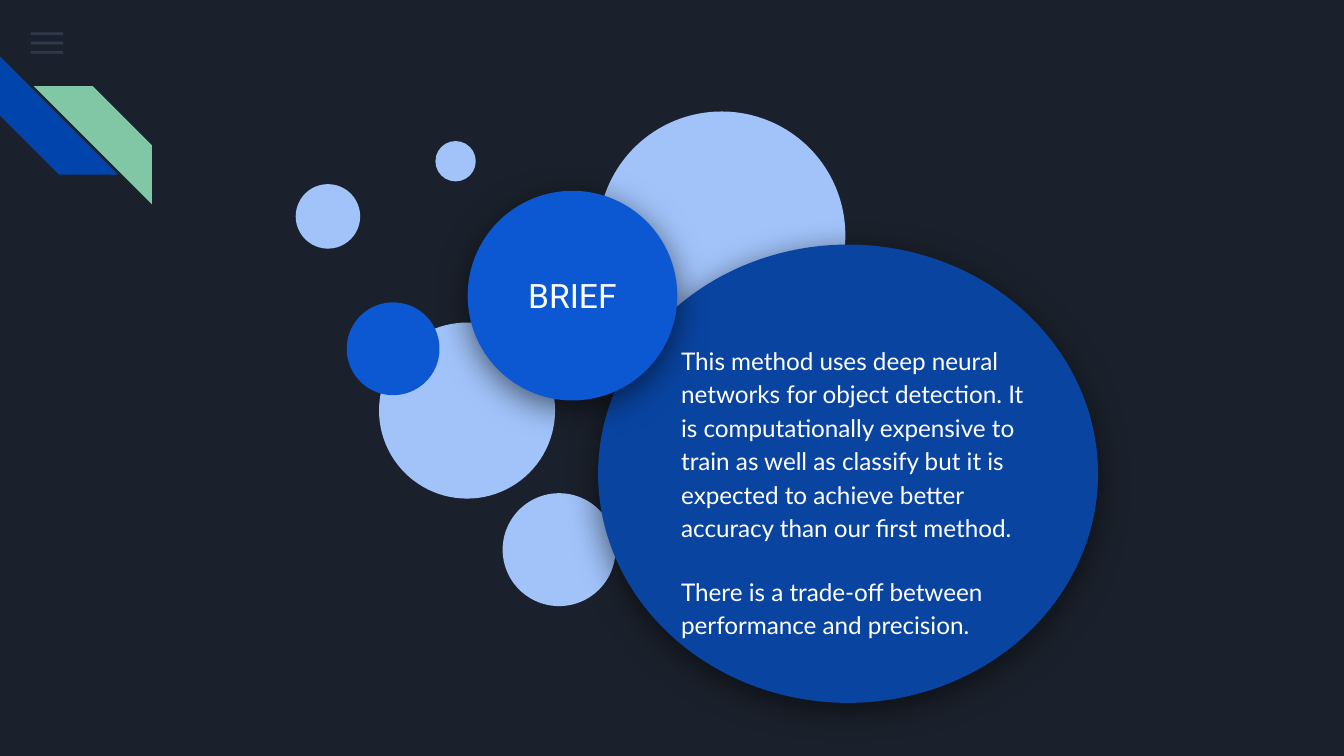
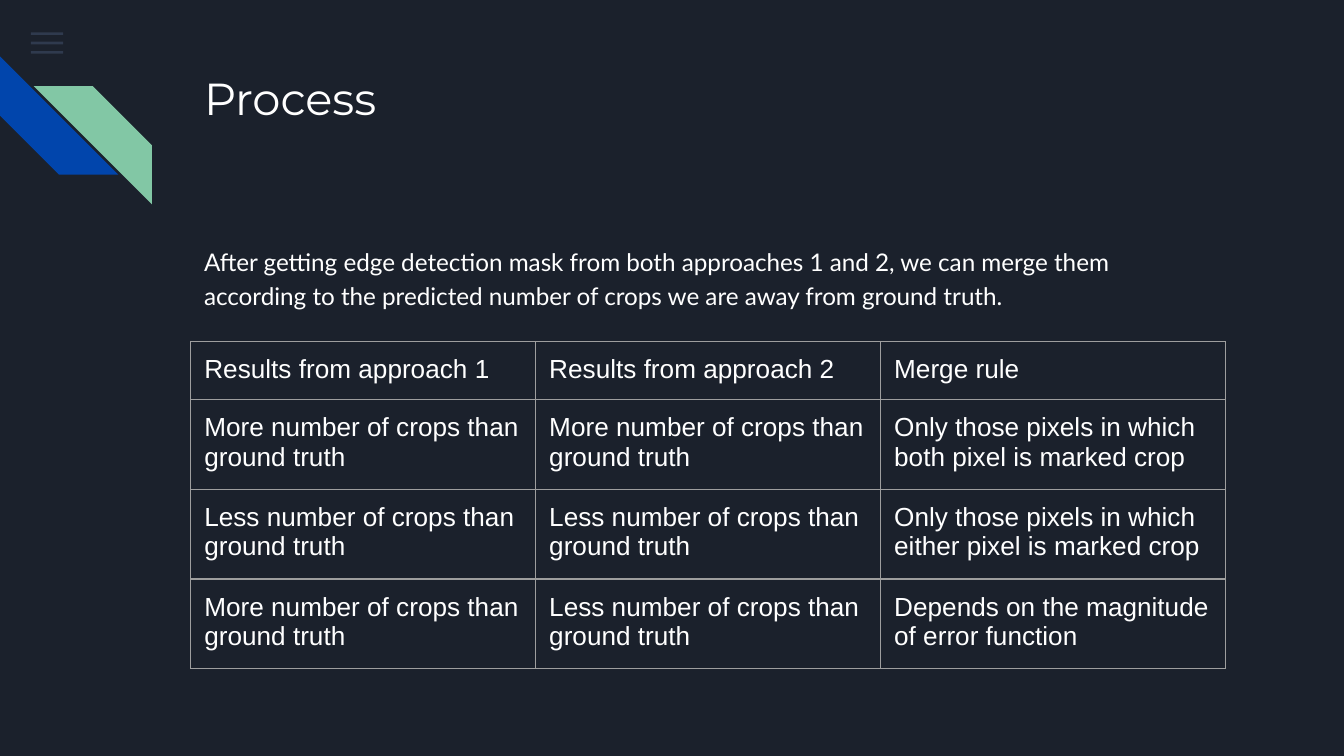
"""Builds two dark slides: a circle cluster with a brief, and a merge-rule table."""
from dataclasses import dataclass
from lxml.etree import SubElement
from pptx import Presentation
from pptx.dml.color import RGBColor
from pptx.enum.shapes import MSO_SHAPE
from pptx.enum.text import MSO_ANCHOR, PP_ALIGN
from pptx.oxml.ns import qn
from pptx.util import Inches, Pt


@dataclass(frozen=True)
class Theme:
    back: str = "1B212C"
    menu: str = "55688B"
    navy: str = "0145AC"
    mint: str = "82C7A5"
    pale: str = "A1C3FA"
    blue: str = "0C58D3"
    deep: str = "0944A1"
    white: str = "FFFFFF"
    rule: str = "9E9E9E"
    head: tuple = ("Montserrat", 24)
    body: tuple = ("Lato", 13)
    label: tuple = ("Roboto", 18)
    cell: tuple = ("Arial", 14)


T = Theme()
WIDE, HIGH = 10, 10 * 9 / 16
LEFT, SPAN = 1.42, 7.7
PAD = 0.1
BARS = dict(left=0.23, top=0.24, step=0.07, wide=0.24, high=0.02)
STRIPES = [(0, 0.42, 270, T.navy), (0.25, 0.64, 90, T.mint)]
STRIPE = 0.88

DOTS = [
    (3.74, 3.67, 0.84, T.pale),
    (2.2, 1.37, 0.48, T.pale),
    (2.82, 2.4, 1.31, T.pale),
    (4.45, 0.83, 1.84, T.pale),
    (2.58, 2.25, 0.69, T.blue),
    (3.24, 1.05, 0.3, T.pale),
]
BRIEF = [
    "This method uses deep neural networks for object detection. It is "
    "computationally expensive to train as well as classify but it is "
    "expected to achieve better accuracy than our first method.",
    "There is a trade-off between performance and precision.",
]
INTRO = ("After getting edge detection mask from both approaches 1 and 2, we can "
         "merge them according to the predicted number of crops we are away from "
         "ground truth.")
MORE = "More number of crops than ground truth"
LESS = "Less number of crops than ground truth"
RULES = [
    ("Results from approach 1", "Results from approach 2", "Merge rule"),
    (MORE, MORE, "Only those pixels in which both pixel is marked crop"),
    (LESS, LESS, "Only those pixels in which either pixel is marked crop"),
    (MORE, LESS, "Depends on the magnitude of error function"),
]


def rgb(color):
    return RGBColor.from_string(color)


def tint(parent, color, alpha=None):
    node = SubElement(parent, qn("a:srgbClr"), val=color)
    if alpha:
        SubElement(node, qn("a:alpha"), val=str(alpha * 1000))


def draw(slide, kind, box, color):
    shape = slide.shapes.add_shape(kind, *map(Inches, box))
    shape.shadow.inherit = False
    shape.fill.solid()
    shape.fill.fore_color.rgb = rgb(color)
    shape.line.fill.background()
    return shape


def glow(shape):
    effects = shape.element.spPr.find(qn("a:effectLst"))
    shade = SubElement(effects, qn("a:outerShdw"), blurRad=str(Pt(18)),
                       dist=str(Pt(4)), dir="5400000", algn="bl", rotWithShape="0")
    tint(shade, "000000", 55)


def style(para, font):
    para.font.name, para.font.size = font[0], Pt(font[1])
    para.font.color.rgb = rgb(T.white)


def write(slide, box, texts, font, anchor=MSO_ANCHOR.TOP, align=None, lead=None, gap=0):
    frame = slide.shapes.add_textbox(*map(Inches, box)).text_frame
    frame.word_wrap = True
    frame.vertical_anchor = anchor
    frame.margin_left = frame.margin_right = Inches(PAD)
    frame.margin_top = frame.margin_bottom = Inches(PAD)
    for i, text in enumerate(texts):
        para = frame.add_paragraph() if i else frame.paragraphs[0]
        para.text = text
        para.alignment = align
        para.line_spacing = lead
        if i:
            para.space_before = para.space_after = Pt(gap)
        style(para, font)


def edge(cell):
    props = cell._tc.get_or_add_tcPr()
    for side in ("a:lnL", "a:lnR", "a:lnT", "a:lnB"):
        line = SubElement(props, qn(side), w=str(Pt(0.75)))
        tint(SubElement(line, qn("a:solidFill")), T.rule)


def base(deck):
    slide = deck.slides.add_slide(deck.slide_layouts[6])
    slide.background.fill.solid()
    slide.background.fill.fore_color.rgb = rgb(T.back)
    for i in range(3):
        box = (BARS["left"], BARS["top"] + i * BARS["step"], BARS["wide"], BARS["high"])
        bar = draw(slide, MSO_SHAPE.RECTANGLE, box, T.menu)
        color = bar.element.spPr.find(qn("a:solidFill"))[0]
        SubElement(color, qn("a:alpha"), val="36000")
    for x, y, turn, color in STRIPES:
        stripe = draw(slide, MSO_SHAPE.DIAGONAL_STRIPE, (x, y, STRIPE, STRIPE), color)
        stripe.rotation = turn
    return slide


def brief(deck):
    slide = base(deck)
    for x, y, size, color in DOTS:
        draw(slide, MSO_SHAPE.OVAL, (x, y, size, size), color)
    glow(draw(slide, MSO_SHAPE.OVAL, (4.45, 1.82, 3.72, 3.41), T.deep))
    write(slide, (4.97, 2.46, 2.84, 2.38), BRIEF, T.body,
          MSO_ANCHOR.MIDDLE, lead=1.15, gap=16)
    glow(draw(slide, MSO_SHAPE.OVAL, (3.48, 1.42, 1.56, 1.56), T.blue))
    write(slide, (3.73, 1.68, 1.06, 1.03), ["BRIEF"], T.label,
          MSO_ANCHOR.MIDDLE, PP_ALIGN.CENTER)


def process(deck):
    slide = base(deck)
    write(slide, (LEFT, 0.43, SPAN, 1), ["Process"], T.head)
    write(slide, (LEFT, 1.71, SPAN, 3.18), [INTRO], T.body, lead=1.15)
    rows, cols = len(RULES), len(RULES[0])
    box = (LEFT, 2.54, SPAN, rows * 0.42)
    table = slide.shapes.add_table(rows, cols, *map(Inches, box)).table
    table.first_row = table.horz_banding = False
    for r, texts in enumerate(RULES):
        for c, text in enumerate(texts):
            cell = table.cell(r, c)
            cell.margin_left = cell.margin_right = Inches(PAD)
            cell.margin_top = cell.margin_bottom = Inches(PAD)
            cell.text = text
            style(cell.text_frame.paragraphs[0], T.cell)
            edge(cell)
            cell.fill.background()


def main():
    deck = Presentation()
    deck.slide_width, deck.slide_height = Inches(WIDE), Inches(HIGH)
    brief(deck)
    process(deck)
    deck.save("out.pptx")


if __name__ == "__main__":
    main()
